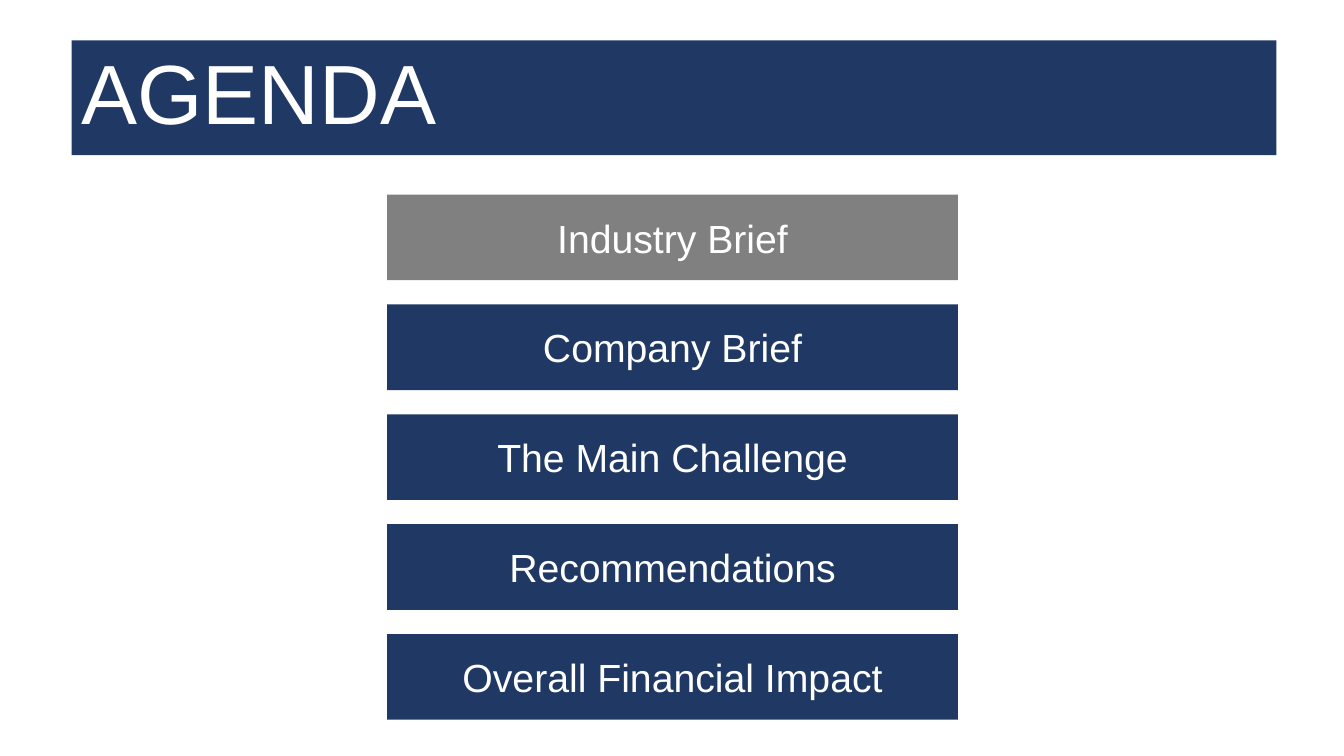
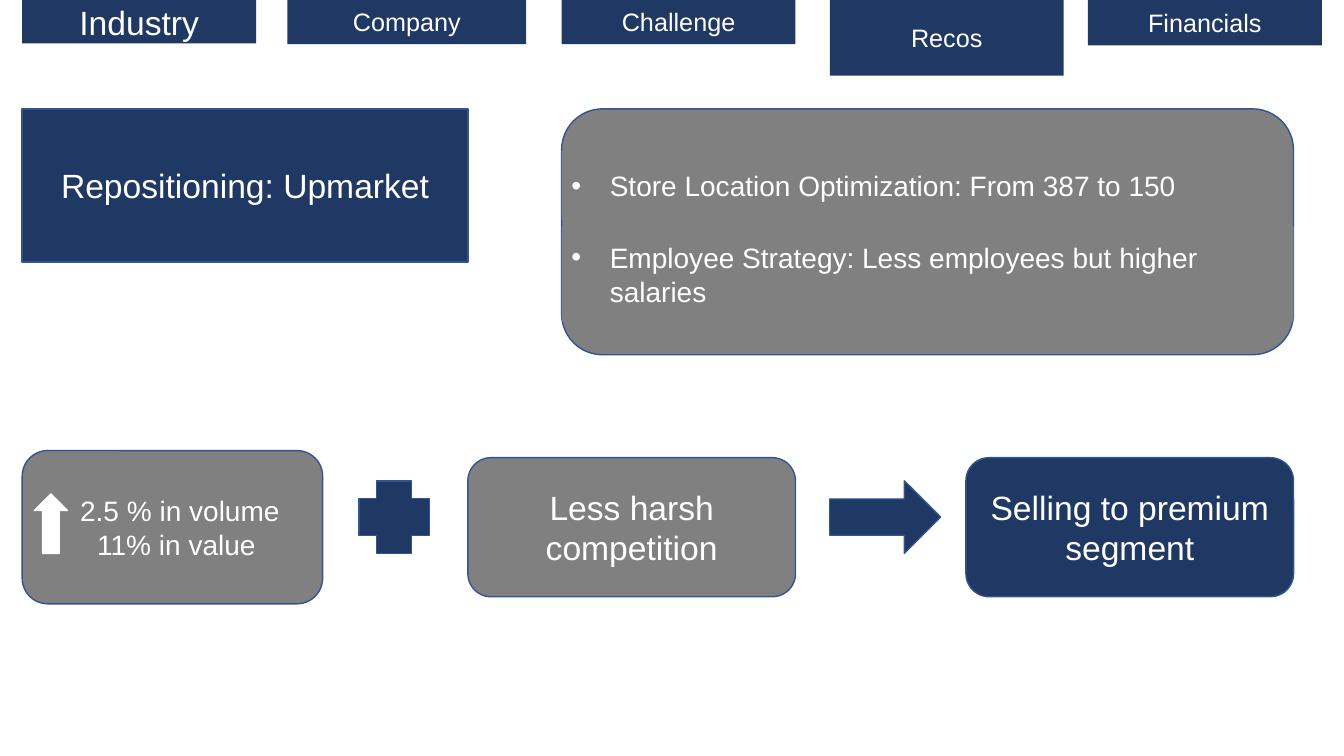
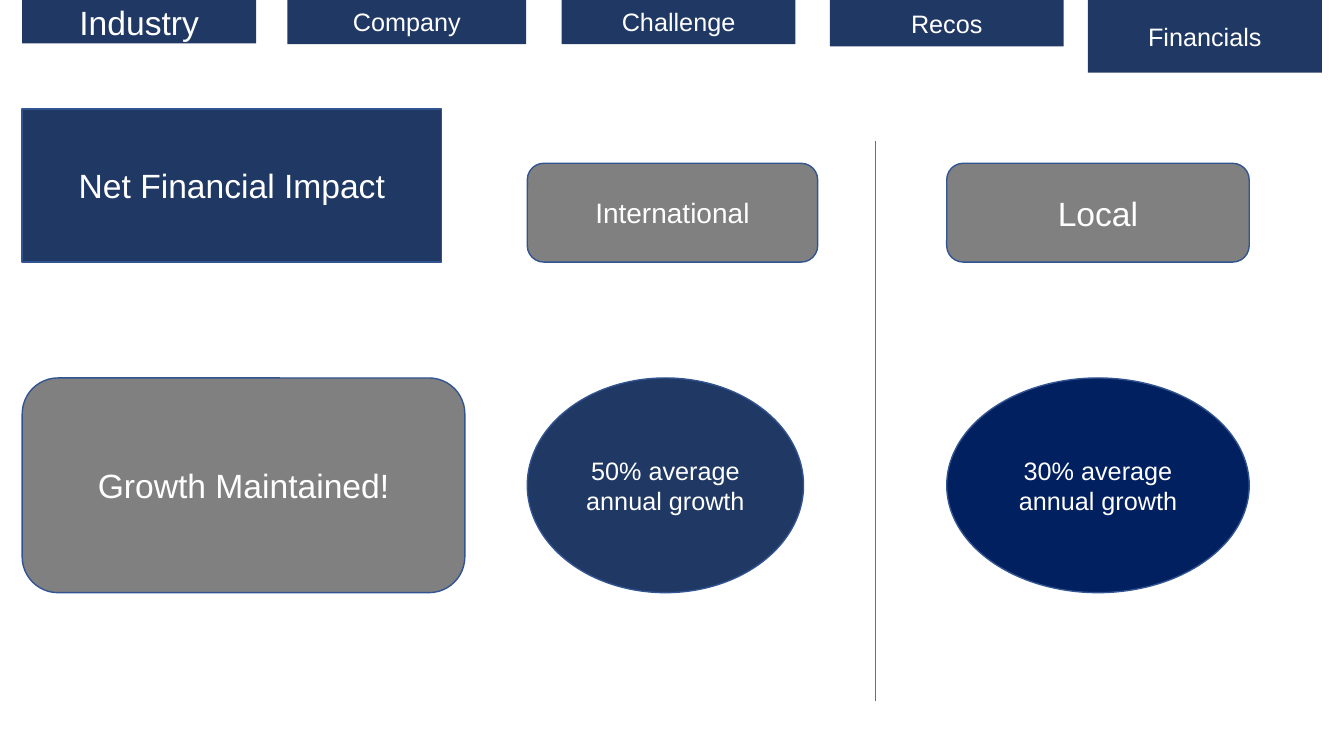
from dataclasses import dataclass

from lxml.etree import SubElement
from pptx import Presentation
from pptx.dml.color import RGBColor
from pptx.enum.shapes import MSO_CONNECTOR, MSO_SHAPE
from pptx.enum.text import MSO_ANCHOR, PP_ALIGN
from pptx.oxml.ns import qn
from pptx.util import Pt

EMU_PER_PX = 9144


@dataclass(frozen=True)
class Theme:
    font: str = "Arial"
    navy: str = "203864"
    deep: str = "002060"
    grey: str = "808080"
    white: str = "FFFFFF"
    outline: str = "325491"
    divider: str = "4472C4"
    title: int = 60
    agenda: int = 28
    heading: int = 24
    body: int = 20
    small: int = 18


THEME = Theme()

TABS = (
    ("Industry", 22, 0, 232, 43, 43, THEME.heading),
    ("Company", 285, -2, 237, 46, 46, THEME.small),
    ("Challenge", 557, -2, 232, 46, 46, THEME.small),
    ("Recos", 823, 0, 232, 46, 75, THEME.small),
    ("Financials", 1079, 0, 232, 45, 72, THEME.small),
)


def px(length):
    return round(length * EMU_PER_PX)


def add_page(deck):
    return deck.slides.add_slide(deck.slide_layouts[6])


def add_box(page, kind, place, fill=THEME.navy, line=None):
    box = page.shapes.add_shape(kind, *map(px, place))
    box.shadow.inherit = False
    box.fill.solid()
    box.fill.fore_color.rgb = RGBColor.from_string(fill)
    if line:
        box.line.color.rgb = RGBColor.from_string(line)
        box.line.width = Pt(1)
    else:
        box.line.fill.background()
    return box


def write(box, text, size, align=PP_ALIGN.CENTER):
    frame = box.text_frame
    frame.word_wrap = True
    frame.vertical_anchor = MSO_ANCHOR.MIDDLE
    frame.text = text
    for para in frame.paragraphs:
        para.alignment = align
        for span in para.runs:
            span.font.name = THEME.font
            span.font.size = Pt(size)
            span.font.color.rgb = RGBColor.from_string(THEME.white)
    return frame.paragraphs


def indent(para, left, first=0):
    properties = para._p.get_or_add_pPr()
    properties.set("marL", str(px(left)))
    properties.set("indent", str(px(first)))
    return properties


def add_panel(page, kind, place, text, size=THEME.heading, fill=THEME.navy):
    return write(add_box(page, kind, place, fill, THEME.outline), text, size)


def add_bullet(page, place, text):
    box = add_box(page, MSO_SHAPE.RECTANGLE, place, THEME.grey)
    para = write(box, text, THEME.body, PP_ALIGN.LEFT)[0]
    properties = indent(para, 38, -38)
    SubElement(properties, qn("a:buFont")).set("typeface", THEME.font)
    SubElement(properties, qn("a:buChar")).set("char", "•")


def add_divider(page, left, top, bottom):
    divider = page.shapes.add_connector(
        MSO_CONNECTOR.STRAIGHT, px(left), px(top), px(left), px(bottom))
    divider.line.color.rgb = RGBColor.from_string(THEME.divider)
    divider.line.width = Pt(0.5)
    SubElement(divider._element.spPr, qn("a:effectLst"))


def add_tabs(page, active):
    for label, left, top, width, height, active_height, size in TABS:
        shown = active_height if label == active else height
        tab = add_box(page, MSO_SHAPE.RECTANGLE, (left, top, width, shown))
        write(tab, label, size)


def build_agenda(deck):
    page = add_page(deck)
    banner = add_box(page, MSO_SHAPE.RECTANGLE, (71, 40, 1195, 114))
    write(banner, "AGENDA", THEME.title, PP_ALIGN.LEFT)[0].line_spacing = 0.9
    topics = ("Industry Brief", "Company Brief", "The Main Challenge",
              "Recommendations", "Overall Financial Impact")
    for row, topic in enumerate(topics):
        fill = THEME.navy if row else THEME.grey
        place = (384, 193 + 109 * row, 566, 85)
        write(add_box(page, MSO_SHAPE.RECTANGLE, place, fill), topic, THEME.agenda)


def build_repositioning(deck):
    page = add_page(deck)
    rounded = MSO_SHAPE.ROUNDED_RECTANGLE
    add_tabs(page, "Recos")
    add_panel(page, MSO_SHAPE.RECTANGLE, (22, 108, 442, 152), "Repositioning: Upmarket")
    growth = add_panel(page, rounded, (22, 447, 298, 152),
                       "2.5 % in volume\n11% in value", THEME.body, THEME.grey)
    for para, left in zip(growth, (15, 8)):
        indent(para, left)
    add_box(page, MSO_SHAPE.UP_ARROW, (34, 490, 33, 59), THEME.white, THEME.white)
    add_box(page, MSO_SHAPE.CROSS, (356, 477, 70, 72), line=THEME.outline)
    add_panel(page, rounded, (464, 454, 325, 138), "Less harsh competition",
              fill=THEME.grey)
    add_box(page, MSO_SHAPE.RIGHT_ARROW, (823, 477, 110, 72), line=THEME.outline)
    add_panel(page, rounded, (958, 454, 325, 138), "Selling to premium segment")
    add_box(page, rounded, (557, 108, 726, 244), THEME.grey, THEME.outline)
    add_bullet(page, (557, 150, 714, 68),
               "Store Location Optimization: From 387 to 150")
    add_bullet(page, (557, 225, 726, 94),
               "Employee Strategy: Less employees but higher salaries")


def build_impact(deck):
    page = add_page(deck)
    rounded = MSO_SHAPE.ROUNDED_RECTANGLE
    add_tabs(page, "Financials")
    add_panel(page, MSO_SHAPE.RECTANGLE, (22, 108, 416, 152), "Net Financial Impact")
    add_divider(page, 868, 140, 695)
    markets = (
        ("International", THEME.body, 523, 288, "50%", 274, THEME.navy),
        ("Local", THEME.heading, 939, 300, "30%", 300, THEME.deep),
    )
    for market, size, left, width, rate, oval_width, fill in markets:
        add_panel(page, rounded, (left, 162, width, 98), market, size, THEME.grey)
        add_panel(page, MSO_SHAPE.OVAL, (left, 375, oval_width, 213),
                  f"{rate} average annual growth", THEME.small, fill)
    add_panel(page, rounded, (22, 375, 439, 213), "Growth Maintained!",
              fill=THEME.grey)


def main():
    deck = Presentation()
    deck.slide_width = px(1333)
    deck.slide_height = px(750)
    build_agenda(deck)
    build_repositioning(deck)
    build_impact(deck)
    deck.save("out.pptx")


if __name__ == "__main__":
    main()
